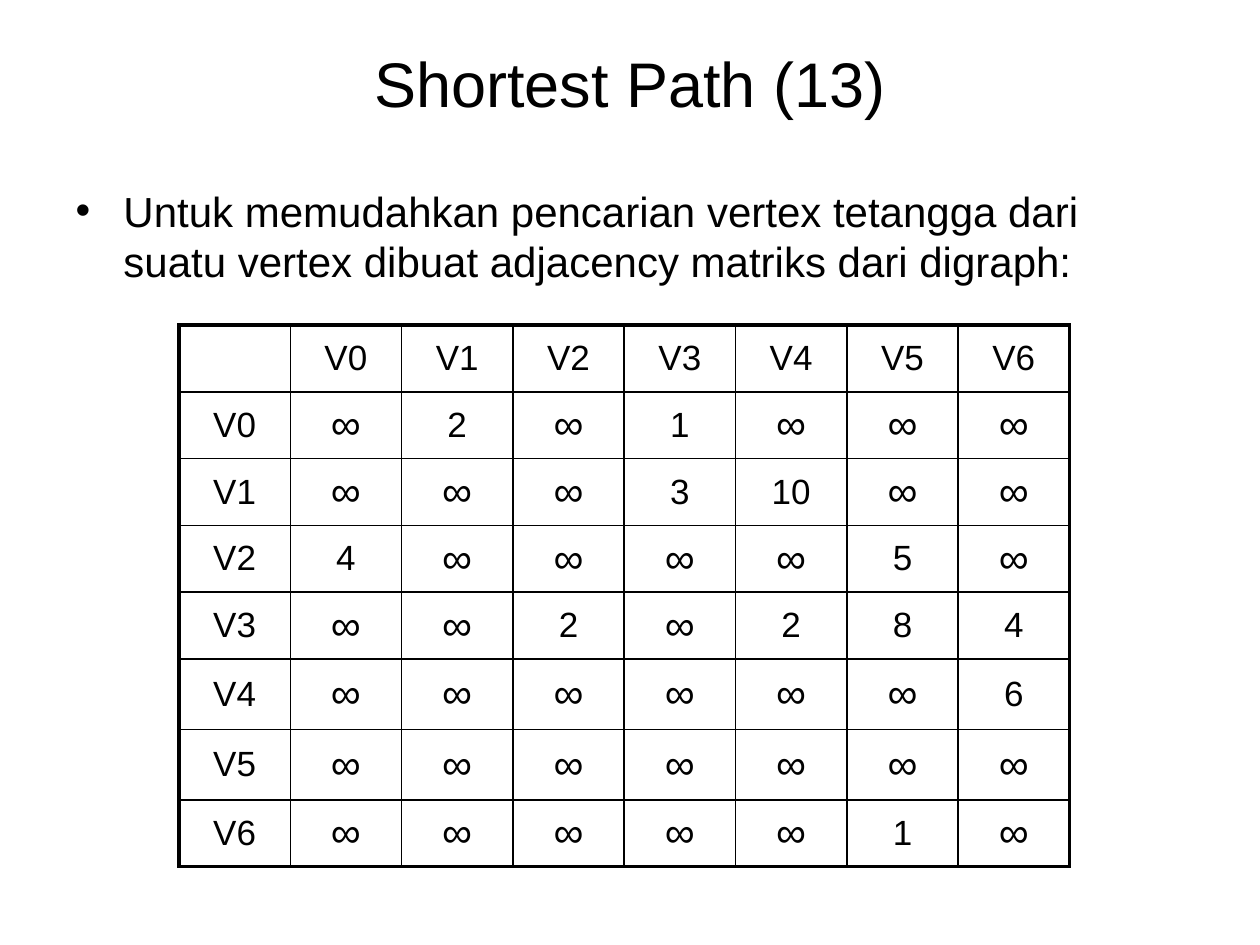
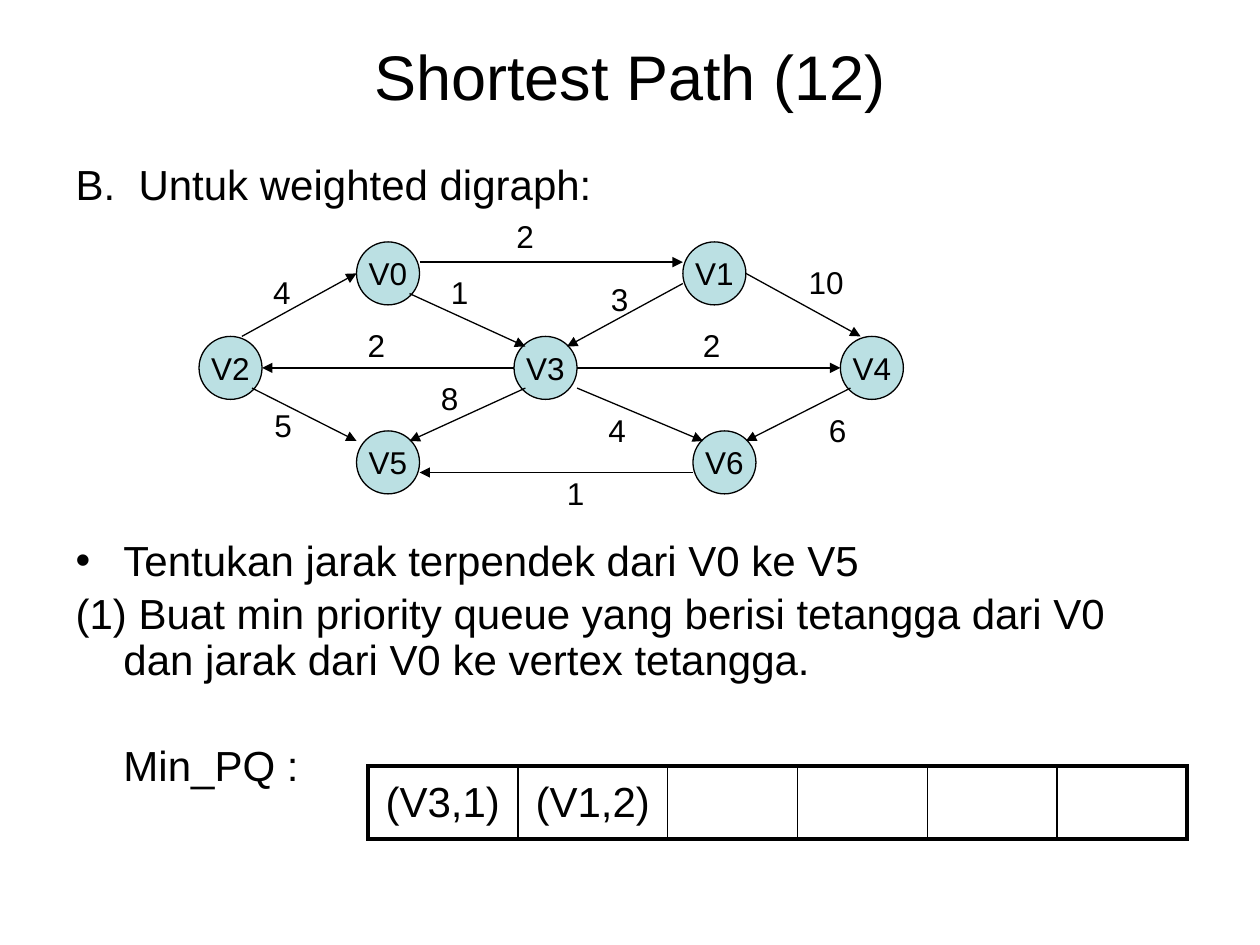
from lxml.etree import SubElement
from pptx import Presentation
from pptx.dml.color import RGBColor
from pptx.enum.shapes import MSO_CONNECTOR, MSO_SHAPE
from pptx.enum.text import MSO_ANCHOR, MSO_AUTO_SIZE, PP_ALIGN
from pptx.oxml.ns import qn
from pptx.util import Inches, Pt

BLACK = RGBColor(0, 0, 0)
NODE_FILL = RGBColor(0xBB, 0xE0, 0xE3)
FONT = "Arial"
THIN, THICK = 1, 2.25
NO_EDGE = "∞"
NODE_SIZE = 0.5
HANG = 0.38

# Node corners inside the digraph box
NODES = {
    "V0": (1.25, 0.25), "V1": (3.84, 0.25), "V2": (0, 1), "V3": (2.5, 1),
    "V4": (5.09, 1), "V5": (1.25, 1.75), "V6": (3.92, 1.75),
}
# (source, target): weight, start within source, end within target, weight label in box
EDGES = {
    ("V2", "V0"): (4, (0.34, 0), (0, 0.25), (0.49, 0.45)),
    ("V0", "V1"): (2, (0.5, 0.16), (0, 0.16), (2.42, 0)),
    ("V1", "V4"): (10, (0.5, 0.25), (0.16, 0), (4.74, 0.37)),
    ("V1", "V3"): (3, (0, 0.33), (0.42, 0.08), (3.17, 0.5)),
    ("V0", "V3"): (1, (0.42, 0.41), (0.09, 0.08), (1.9, 0.45)),
    ("V3", "V2"): (2, (0, 0.25), (0.5, 0.25), (1.24, 0.87)),
    ("V3", "V4"): (2, (0.5, 0.25), (0, 0.25), (3.9, 0.87)),
    ("V2", "V5"): (5, (0.42, 0.41), (0, 0.08), (0.5, 1.5)),
    ("V3", "V5"): (8, (0.09, 0.41), (0.42, 0.08), (1.82, 1.29)),
    ("V3", "V6"): (4, (0.5, 0.41), (0.08, 0.08), (3.15, 1.54)),
    ("V6", "V5"): (1, (0, 0.33), (0.5, 0.33), (2.82, 2.04)),
    ("V4", "V6"): (6, (0.08, 0.41), (0.42, 0.08), (4.9, 1.54)),
}


def write(paragraph, text, size, align=PP_ALIGN.LEFT):
    paragraph.text = text
    paragraph.alignment = align
    for name, value in {"name": FONT, "size": Pt(size), "bold": False}.items():
        setattr(paragraph.font, name, value)
    paragraph.font.color.rgb = BLACK


def place(shape, box):
    for name, value in zip(("left", "top", "width", "height"), box):
        setattr(shape, name, Inches(value))


def add_title(slide, text, box):
    title = slide.shapes.title
    place(title, box)
    title.text_frame.vertical_anchor = MSO_ANCHOR.MIDDLE
    title.text_frame.auto_size = MSO_AUTO_SIZE.NONE
    write(title.text_frame.paragraphs[0], text, 36, PP_ALIGN.CENTER)


def add_body(slide, items, box, line_spacing=1.0):
    """Fill the body with (text, bullet, left margin, first-line indent, space before)."""
    body = slide.placeholders[1]
    place(body, box)
    frame = body.text_frame
    frame.auto_size = MSO_AUTO_SIZE.NONE
    for index, (text, bullet, margin, indent, before) in enumerate(items):
        paragraph = frame.add_paragraph() if index else frame.paragraphs[0]
        properties = paragraph._p.get_or_add_pPr()
        properties.set("marL", str(Inches(margin)))
        properties.set("indent", str(Inches(indent)))
        if bullet:
            SubElement(properties, qn("a:buChar")).set("char", bullet)
        else:
            SubElement(properties, qn("a:buNone"))
        paragraph.line_spacing = line_spacing
        paragraph.space_before = Pt(before)
        write(paragraph, text, 24)


def set_border(cell, side, width):
    line = SubElement(cell._tc.get_or_add_tcPr(), qn(f"a:ln{side}"), w=str(Pt(width)))
    fill = SubElement(line, qn("a:solidFill"))
    SubElement(fill, qn("a:srgbClr"), val=str(BLACK))


def add_grid(slide, rows, box, size_of):
    """Add a plain table with a thick frame; size_of gives the text size of a value."""
    last_row, last_column = len(rows) - 1, len(rows[0]) - 1
    table = slide.shapes.add_table(len(rows), len(rows[0]), *map(Inches, box)).table
    table.first_row = table.horz_banding = False
    for r, row in enumerate(rows):
        for c, value in enumerate(row):
            cell = table.cell(r, c)
            outer = {"L": c == 0, "R": c == last_column, "T": r == 0, "B": r == last_row}
            for side, is_outer in outer.items():
                set_border(cell, side, THICK if is_outer else THIN)
            cell.fill.background()
            cell.vertical_anchor = MSO_ANCHOR.MIDDLE
            if value:
                write(cell.text_frame.paragraphs[0], value, size_of(value), PP_ALIGN.CENTER)
    return table


def add_node(slide, name, x, y):
    node = slide.shapes.add_shape(
        MSO_SHAPE.OVAL, *map(Inches, (x, y, NODE_SIZE, NODE_SIZE)))
    node.shadow.inherit = False
    node.fill.solid()
    node.fill.fore_color.rgb = NODE_FILL
    node.line.color.rgb = BLACK
    node.line.width = Pt(0.75)
    node.text_frame.word_wrap = False
    node.text_frame.vertical_anchor = MSO_ANCHOR.MIDDLE
    write(node.text_frame.paragraphs[0], name, 18, PP_ALIGN.CENTER)


def add_arrow(slide, start, end):
    arrow = slide.shapes.add_connector(MSO_CONNECTOR.STRAIGHT, *map(Inches, start + end))
    arrow.line.color.rgb = BLACK
    arrow.line.width = Pt(0.75)
    SubElement(arrow.line._get_or_add_ln(), qn("a:tailEnd"), type="triangle")
    SubElement(arrow._element.spPr, qn("a:effectLst"))


def add_weight(slide, text, x, y):
    width = 0.2 + 0.14 * len(text)
    label = slide.shapes.add_textbox(*map(Inches, (x, y, width, 0.4)))
    label.text_frame.word_wrap = False
    write(label.text_frame.paragraphs[0], text, 18)


def add_digraph(slide, left, top):
    def at(corner, offset=(0, 0)):
        return left + corner[0] + offset[0], top + corner[1] + offset[1]

    for name, corner in NODES.items():
        add_node(slide, name, *at(corner))
    for (source, target), (weight, start, end, label) in EDGES.items():
        add_arrow(slide, at(NODES[source], start), at(NODES[target], end))
        add_weight(slide, str(weight), *at(label))


def adjacency_rows():
    rows = [["", *NODES]]
    for source in NODES:
        weights = [EDGES.get((source, target), (NO_EDGE,))[0] for target in NODES]
        rows.append([source, *map(str, weights)])
    return rows


def matrix_slide(slide):
    add_title(slide, "Shortest Path (13)", (0.5, 0.3, 9, 0.7))
    add_body(slide, [
        ("Untuk memudahkan pencarian vertex tetangga dari suatu vertex dibuat "
         "adjacency matriks dari digraph:", "•", HANG, -HANG, 0),
    ], (0.5, 1.42, 8.5, 5.28))
    matrix = add_grid(slide, adjacency_rows(), (1.42, 2.58, 7.07, 4.28),
                      lambda value: 24 if value == NO_EDGE else 20)
    for index, row in enumerate(matrix.rows):
        row.height = Inches(0.56 if index in (5, 6) else 0.53)


def digraph_slide(slide):
    add_title(slide, "Shortest Path (12)", (0.5, 0.25, 9, 0.7))
    add_body(slide, [
        ("B.  Untuk weighted digraph:", None, 0, 0, 0),
        ("Tentukan jarak terpendek dari V0 ke V5", "•", HANG, -HANG, 189),
        ("(1) Buat min priority queue yang berisi tetangga dari V0 dan jarak "
         "dari V0 ke vertex tetangga.", None, HANG, -HANG, 4.8),
        ("Min_PQ :", None, HANG, 0, 35),
    ], (0.5, 1.25, 8.83, 5.45), line_spacing=0.9)
    add_digraph(slide, 1.58, 1.67)
    queue = add_grid(slide, [["(V3,1)", "(V1,2)", "", "", "", ""]],
                     (2.92, 6.08, 6.5, 0.58), lambda value: 24)
    for index, column in enumerate(queue.columns):
        column.width = Inches(1.19 if index < 2 else 1.03)


def main():
    deck = Presentation()
    deck.slide_width, deck.slide_height = Inches(10), Inches(7.5)
    for build in (matrix_slide, digraph_slide):
        build(deck.slides.add_slide(deck.slide_layouts[1]))
    deck.save("out.pptx")


if __name__ == "__main__":
    main()
